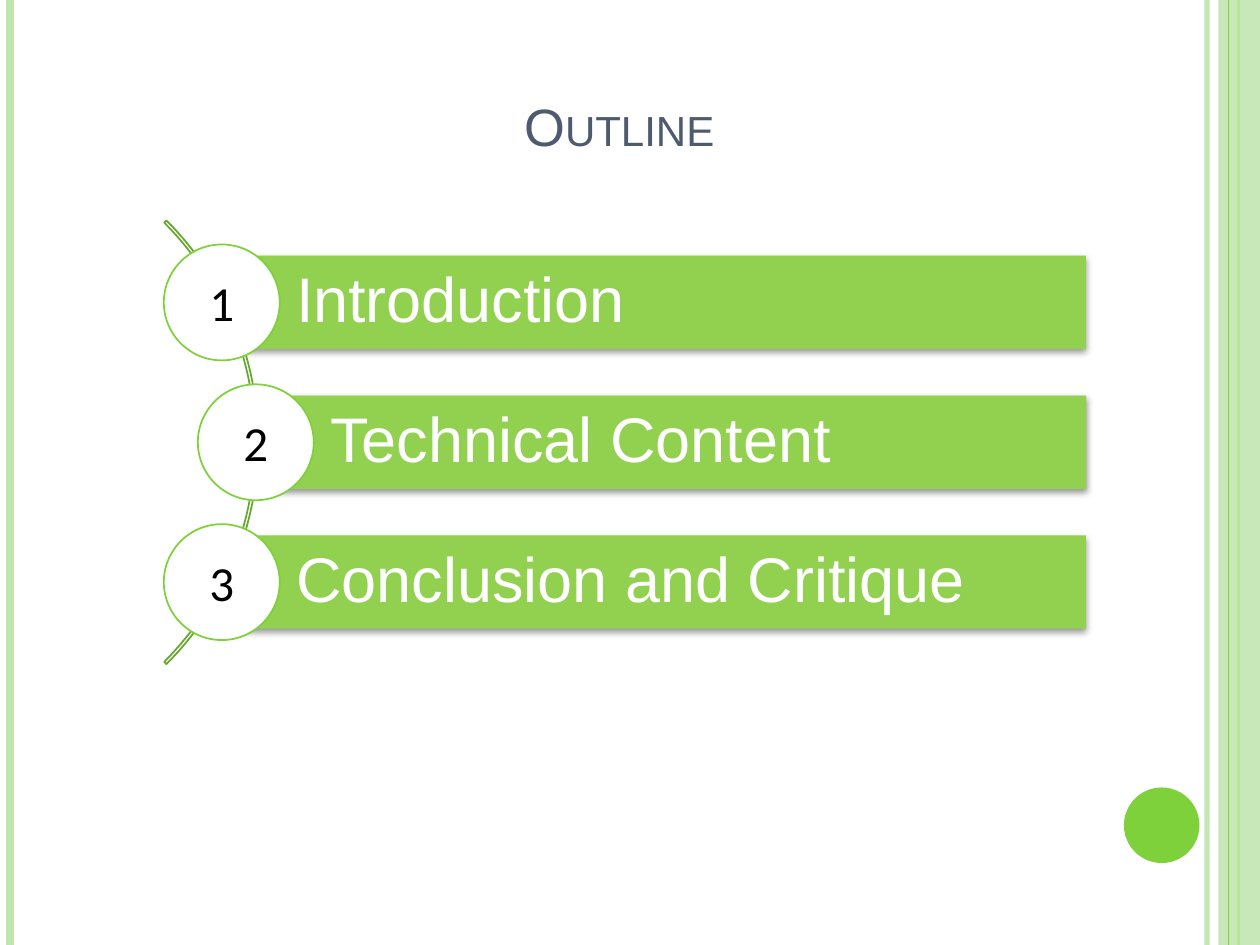
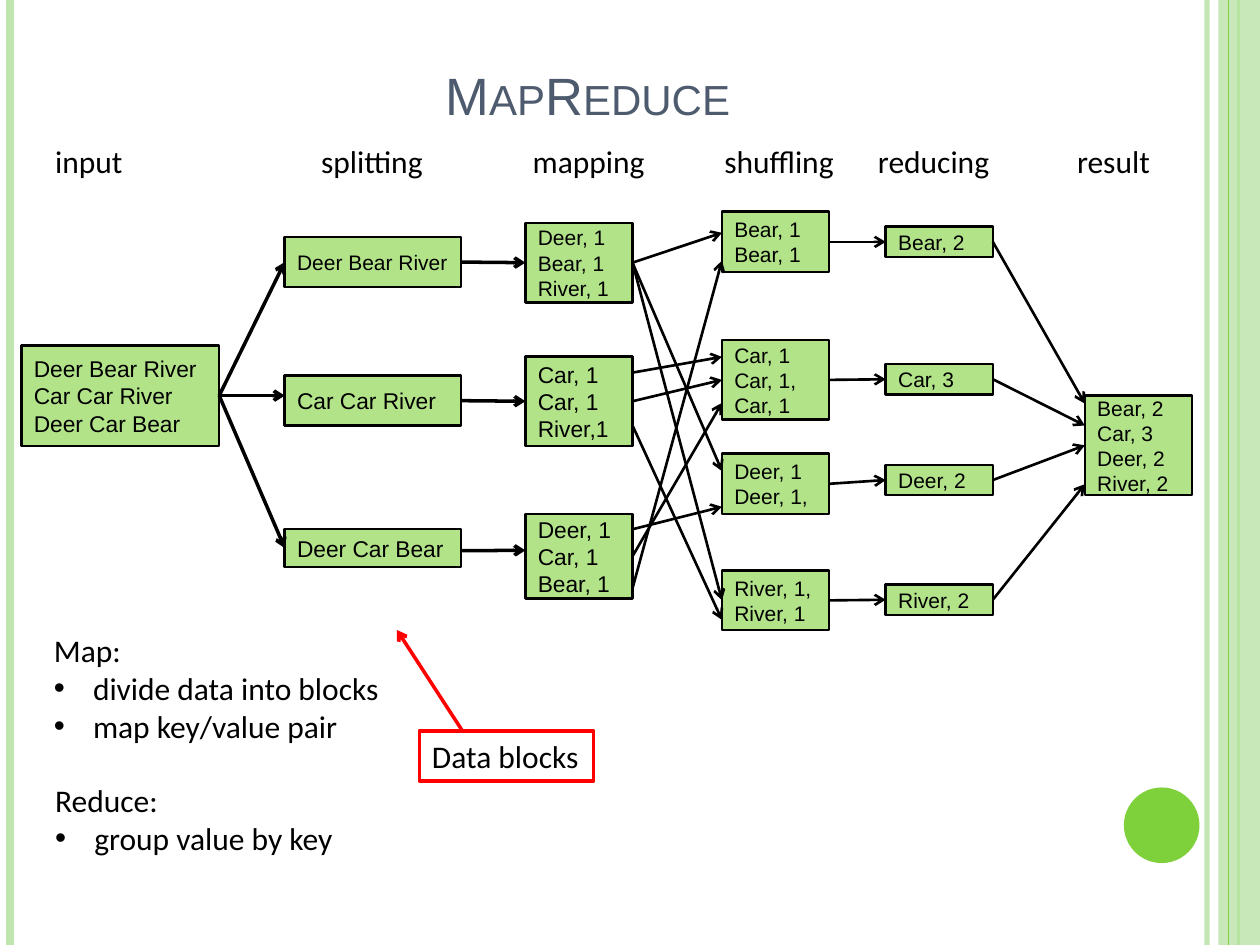
import pptx
import pptx.util
import pptx.dml.color
import pptx.enum.shapes
import pptx.enum.text
import pptx.oxml.ns
from lxml import etree

SHAPE = pptx.enum.shapes.MSO_SHAPE
ALIGN = pptx.enum.text.PP_ALIGN
ANCHOR = pptx.enum.text.MSO_ANCHOR
qn = pptx.oxml.ns.qn

# The slide is a grid of square cells, 100 columns by 75 rows.
COLS, ROWS = 100, 75
CELL = pptx.util.Inches(0.1)

GREEN, PALE, SLATE = "7FD13B", "C0E5AF", "4E5B6F"
BAR, ARC, NODE = "92D050", "66A72F", "B2E389"
BLACK, WHITE, RED = "000000", "FFFFFF", "FF0000"
SANS, HAND = "Arial", "Calibri"


def cells(*values):
    return [round(v * CELL) for v in values]


def rgb(value):
    return pptx.dml.color.RGBColor.from_string(value)


def add_xml(parent, tag, **attributes):
    return etree.SubElement(parent, qn(tag), attributes)


def set_opacity(sp, percent):
    for color in list(sp.element.spPr.iter(qn("a:srgbClr"))):
        add_xml(color, "a:alpha", val=str(percent * 1000))


def write(sp, text, size=18, font=HAND, color=BLACK, align=ALIGN.LEFT,
          anchor=ANCHOR.TOP, wrap=True, insets=(1, 0.5, 1, 0.5),
          small_caps=False, spacing=None):
    """Fill a shape, one paragraph a line; lines that start with • get a bullet."""
    tf = sp.text_frame
    tf.word_wrap = wrap
    tf.auto_size = pptx.enum.text.MSO_AUTO_SIZE.NONE
    tf.vertical_anchor = anchor
    tf.margin_left, tf.margin_top, tf.margin_right, tf.margin_bottom = cells(*insets)
    for i, line in enumerate(text.split("\n")):
        p = tf.add_paragraph() if i else tf.paragraphs[0]
        p.alignment = align
        p.line_spacing = spacing
        if line.startswith("•"):
            indent = round(3.1 * CELL)
            pPr = p._p.get_or_add_pPr()
            pPr.set("marL", str(indent))
            pPr.set("indent", str(-indent))
            add_xml(pPr, "a:buFont", typeface="Arial")
            add_xml(pPr, "a:buChar", char="•")
        r = p.add_run()
        r.text = line.lstrip("• ")
        r.font.size = pptx.util.Pt(size)
        r.font.name = font
        r.font.color.rgb = rgb(color)
        if small_caps:
            r._r.get_or_add_rPr().set("cap", "small")


def add_shape(s, kind, box, fill=None, line=None, width=1.0):
    sp = s.shapes.add_shape(kind, *cells(*box))
    sp.shadow.inherit = False
    if fill:
        sp.fill.solid()
        sp.fill.fore_color.rgb = rgb(fill)
    else:
        sp.fill.background()
    if line:
        sp.line.color.rgb = rgb(line)
        sp.line.width = pptx.util.Pt(width)
    else:
        sp.line.fill.background()
    return sp


def add_label(s, box, text, **fmt):
    sp = s.shapes.add_textbox(*cells(*box))
    write(sp, text, **fmt)
    return sp


def add_line(s, start, end, color=BLACK, width=1.5, arrow=False):
    """Draw a straight connector between two points given in EMU."""
    cxn = s.shapes.add_connector(pptx.enum.shapes.MSO_CONNECTOR.STRAIGHT, *start, *end)
    cxn.line.color.rgb = rgb(color)
    cxn.line.width = pptx.util.Pt(width)
    if arrow:
        add_xml(cxn.line._get_or_add_ln(), "a:tailEnd", type="arrow")
    add_xml(cxn.element.spPr, "a:effectLst")
    return cxn


def link(s, source, target, leave=0.5, enter=0.5, width=1.5):
    """Arrow from the right side of source to the left side of target.

    leave and enter are shares of the side's height; the middle is joined.
    """
    start = (source.left + source.width, round(source.top + leave * source.height))
    end = (target.left, round(target.top + enter * target.height))
    cxn = add_line(s, start, end, width=width, arrow=True)
    if leave == 0.5:
        cxn.begin_connect(source, 3)
    if enter == 0.5:
        cxn.end_connect(target, 1)


def decorate_layout(layout, s):
    """Draw the side stripes and the disc on a slide, then move them to its layout."""
    def stripe(x, color, width):
        return add_line(s, cells(x, 0), cells(x, ROWS), color, width)

    inner = stripe(95.8, PALE, 3)
    set_opacity(inner, 93)
    parts = [inner, stripe(0.8, PALE, 4.5), stripe(98.3, GREEN, 1.5)]
    band = add_shape(s, SHAPE.RECTANGLE, (96.7, 0, COLS - 96.7, ROWS), PALE)
    set_opacity(band, 87)
    parts += [band, stripe(97.5, GREEN, 0.75),
              add_shape(s, SHAPE.OVAL, (89.2, 62.5, 6, 6), GREEN)]
    for number, part in enumerate(parts, 101):
        for props in part.element.iter(qn("p:cNvPr")):
            props.set("id", str(number))
        layout.shapes.element.append(part.element)


def set_title(s, text, left, top):
    title = s.shapes.title
    title.left, title.top, title.width, title.height = cells(left, top, 81.7, 6.3)
    write(title, text, size=30, font=SANS, color=SLATE, align=ALIGN.CENTER,
          anchor=ANCHOR.BOTTOM, small_caps=True)


def add_bar_shadow(sp):
    effects = sp.element.spPr.find(qn("a:effectLst"))
    shadow = add_xml(effects, "a:outerShdw", blurRad=str(pptx.util.Pt(4)),
                     dist=str(pptx.util.Pt(1.6)), dir="5400000", rotWithShape="0")
    color = add_xml(shadow, "a:srgbClr", val=BLACK)
    add_xml(color, "a:alpha", val="42000")


def agenda(s, box, topics):
    """Numbered bars strung along an arc that bulges right at the middle row."""
    left, top, width, height = box
    pitch, disc, bar, arc_size, bulge = 11.1, 9.2, 7.4, 49.8, 2.7
    arc = add_shape(s, SHAPE.BLOCK_ARC,
                    (left - 42.3, top + height / 2 - arc_size / 2, arc_size, arc_size),
                    line=ARC)
    for i, value in enumerate((189, 27, 0.005)):
        arc.adjustments[i] = value
    for i, topic in enumerate(topics):
        x = left + bulge * (i == len(topics) // 2)
        y = top + i * pitch
        bar_left = x + disc / 2
        sp = add_shape(s, SHAPE.RECTANGLE,
                       (bar_left, y + (disc - bar) / 2, left + width - bar_left, bar), BAR)
        add_bar_shadow(sp)
        write(sp, topic, size=36, font=SANS, color=WHITE, anchor=ANCHOR.MIDDLE,
              insets=(5.9, 1, 1, 1), spacing=0.9)
        sp = add_shape(s, SHAPE.OVAL, (x, y, disc, disc), WHITE, GREEN)
        write(sp, str(i + 1), size=28, align=ALIGN.CENTER, anchor=ANCHOR.MIDDLE,
              insets=(0, 0, 0, 0))


def stage(s, box, label, label_left, left, width, nodes):
    """One column of the data flow; nodes are (top, height, text size, text)."""
    x, y = box[:2]
    add_label(s, (x + label_left, y, 11.7, 4), label)
    boxes = []
    for top, height, size, text in nodes:
        sp = add_shape(s, SHAPE.RECTANGLE, (x + left, y + top, width, height),
                       NODE, BLACK, 1.5)
        write(sp, text, size=size, font=SANS, anchor=ANCHOR.MIDDLE, insets=(1, 0, 0.5, 0))
        boxes.append(sp)
    return boxes


def data_flow(s, box):
    source, = stage(s, box, "input", 1.7, 0, 15.7, [
        (16.6, 8, 13, "Deer Bear River\nCar Car River\nDeer Car Bear")])
    splits = stage(s, box, "splitting", 22.8, 20.9, 14, [
        (8, 4, 12, "Deer Bear River"),
        (19, 4, 13, "Car Car River"),
        (31.2, 3, 13, "Deer Car Bear")])
    maps = stage(s, box, "mapping", 39.6, 40, 8.5, [
        (6.9, 6.3, 12, "Deer, 1\nBear, 1\nRiver, 1"),
        (17.5, 7.1, 13, "Car, 1\nCar, 1\nRiver,1"),
        (30, 6.7, 13, "Deer, 1\nCar, 1\nBear, 1")])
    shuffles = stage(s, box, "shuffling", 54.8, 55.6, 8.5, [
        (6, 4.8, 12, "Bear, 1\nBear, 1"),
        (16.2, 6.3, 12, "Car, 1\nCar, 1,\nCar, 1"),
        (25.2, 4.8, 12, "Deer, 1\nDeer, 1,"),
        (34.5, 4.7, 12, "River, 1,\nRiver, 1")])
    reduces = stage(s, box, "reducing", 67, 68.6, 8.5, [
        (top, 2.4, 12, text) for top, text in (
            (7.2, "Bear, 2"), (18.1, "Car, 3"), (26.1, "Deer, 2"), (35.6, "River, 2"))])
    result, = stage(s, box, "result", 82.8, 84.4, 8.5, [
        (20.6, 7.9, 12, "Bear, 2\nCar, 3\nDeer, 2\nRiver, 2")])

    for split, enter in zip(splits, (0.5, 0.4, 0.5)):
        link(s, source, split, enter=enter, width=2)
    for split, mapped, leave, enter in zip(splits, maps, (0.5, 0.5, 0.57), (0.5, 0.5, 0.43)):
        link(s, split, mapped, leave, enter, width=2)
    for i, j, leave, enter in (
            (0, 2, 0.5, 0.29), (0, 0, 0.5, 0.35), (0, 3, 0.5, 0.5),
            (1, 1, 0.18, 0.21), (1, 1, 0.5, 0.5), (1, 3, 0.77, 0.83),
            (2, 2, 0.18, 0.88), (2, 1, 0.5, 0.79), (2, 0, 0.88, 0.81)):
        link(s, maps[i], shuffles[j], leave, enter)
    for shuffle, reduced, enter in zip(shuffles, reduces, (0.08, 0.3, 0.5, 0.89)):
        link(s, shuffle, reduced)
        link(s, reduced, result, enter=enter)


def notes_region(s, box):
    """Explanations of the two steps, and the callout for the data blocks."""
    x, y = box[:2]
    add_label(s, (x, y, 28.1, 10.1),
              "Map:\n• divide data into blocks\n• map key/value pair", wrap=False)
    add_label(s, (x + 0.1, y + 11.9, 24.7, 7.1), "Reduce:\n• group value by key", wrap=False)
    callout = add_shape(s, SHAPE.RECTANGLE, (x + 30, y + 8.4, 13.8, 4), line=RED, width=2)
    write(callout, "Data blocks", wrap=False)
    add_line(s, cells(x + 33.4, y + 8.4), cells(x + 28.2, y + 0.4), RED, 2, arrow=True)


def main():
    prs = pptx.Presentation()
    prs.slide_width, prs.slide_height = cells(COLS, ROWS)
    layout = prs.slide_layouts[5]

    s = prs.slides.add_slide(layout)
    decorate_layout(layout, s)
    set_title(s, "Outline", 8.3, 6.7)
    agenda(s, (13, 19.4, 73.2, 31.4),
           ["Introduction", "Technical Content", "Conclusion and Critique"])

    s = prs.slides.add_slide(layout)
    set_title(s, "MapReduce", 5.8, 4.2)
    notes_region(s, (3.3, 49.6, 43.8, 19))
    data_flow(s, (1.7, 10.8, 92.9, 39.2))

    prs.save("out.pptx")


if __name__ == "__main__":
    main()
